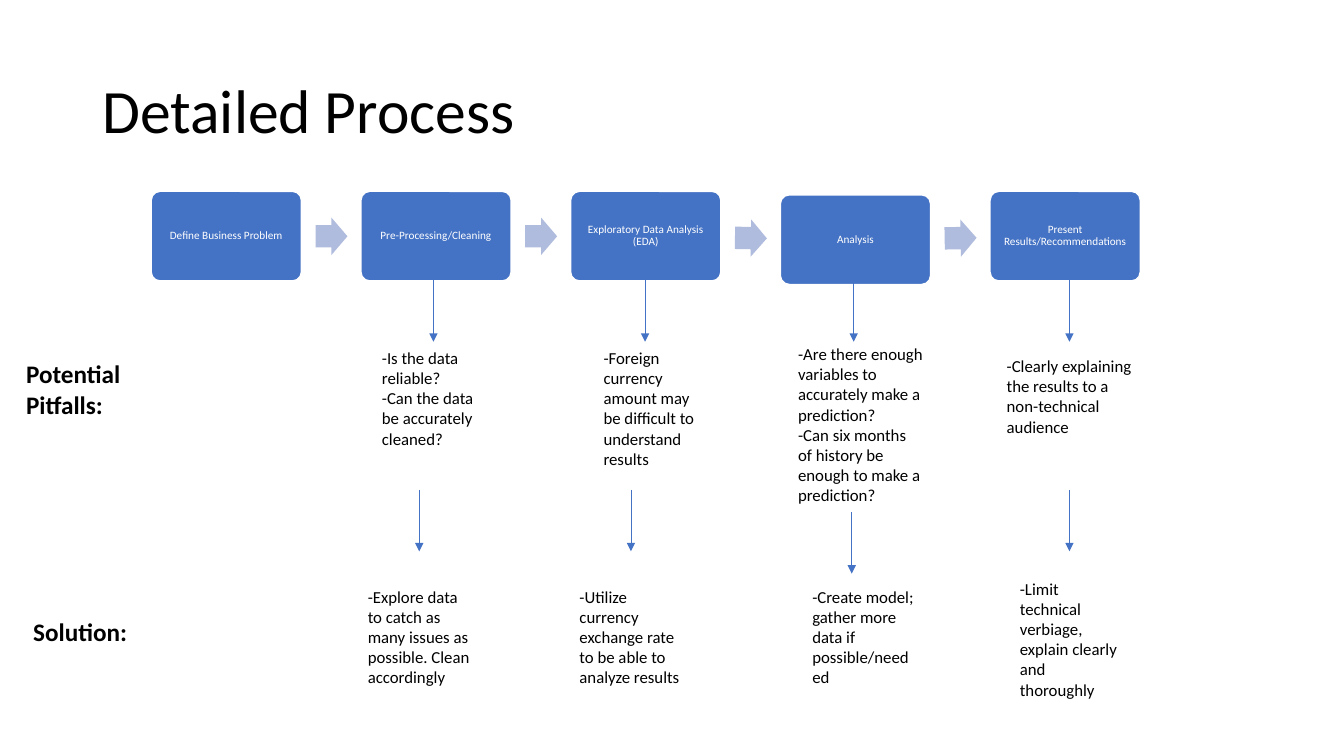
from lxml import etree
from pptx import Presentation
from pptx.dml.color import RGBColor
from pptx.enum.shapes import MSO_CONNECTOR, MSO_SHAPE
from pptx.enum.text import MSO_ANCHOR, PP_ALIGN
from pptx.oxml.ns import qn
from pptx.util import Pt

ROUNDED, RIGHT_ARROW = MSO_SHAPE.ROUNDED_RECTANGLE, MSO_SHAPE.RIGHT_ARROW
STRAIGHT = MSO_CONNECTOR.STRAIGHT
TOP, MIDDLE = MSO_ANCHOR.TOP, MSO_ANCHOR.MIDDLE
LEFT, CENTER = PP_ALIGN.LEFT, PP_ALIGN.CENTER

FONT = "Calibri"
COLORS = {"step": "4472C4", "arrow": "B0BCDE", "text": "000000", "white": "FFFFFF"}

TITLE = "Detailed Process"
# Step label and its offset below the row
STEPS = [
    ("Define Business Problem", 0),
    ("Pre-Processing/Cleaning", 0),
    ("Exploratory Data Analysis (EDA)", 0),
    ("Analysis", 2.5),
    ("Present Results/Recommendations", 0),
]
# Offset below the row and rotation of the arrow after each step
STEP_ARROWS = [(0, 0), (0, 0), (1.3, 1), (1.3, -1)]
# Row heading, (left, top, width, height)
HEADINGS = [
    ("Potential Pitfalls:", (11.5, 252.7, 99.4, 51)),
    ("Solution:", (16.6, 437, 99.4, 29)),
]
# Paragraphs, (left, top, width, height), (x, top) of the arrow above
PITFALLS = [
    (["-Is the data reliable?", "-Can the data be accurately cleaned?"],
     (265.7, 244.8, 87.8, 94.3), (309.6, 200.2)),
    (["-Foreign currency amount may be difficult to understand results"],
     (424, 244.8, 87.8, 94.3), (460.8, 200.2)),
    (["-Are there enough variables to accurately make a prediction?",
      "-Can six months of history be enough to make a prediction?"],
     (563, 242, 103.7, 123.8), (609.8, 200.2)),
    (["-Clearly explaining the results to a non-technical audience"],
     (712, 250.6, 103.7, 65.5), (763.9, 200.2)),
]
SOLUTIONS = [
    (["-Explore data to catch as many issues as possible. Clean accordingly"],
     (255.6, 415.4, 87.8, 80), (299.5, 349.9)),
    (["-Utilize currency exchange rate to be able to analyze results"],
     (406.8, 415.4, 87.8, 80), (450.7, 349.9)),
    (["-Create model; gather more data if possible/needed"],
     (573.1, 415.4, 87.8, 80), (608.4, 365.8)),
    (["-Limit technical verbiage, explain clearly and thoroughly"],
     (721.4, 409.7, 87.8, 94.3), (763.9, 349.9)),
]

STEP_LEFT, STEP_TOP, STEP_PITCH = 108, 136.7, 149.8
STEP_WIDTH, STEP_HEIGHT, STEP_INSET = 107.3, 64, 4.3
ARROW_LEFT, ARROW_TOP, ARROW_WIDTH, ARROW_HEIGHT = 225.4, 155.5, 22.8, 26.6
DOWN_LENGTH = 43.9


def rgb(name):
    return RGBColor.from_string(COLORS[name])


def write(frame, paragraphs, size, color="text", bold=False, align=LEFT,
          anchor=TOP, spacing=None):
    frame.word_wrap = True
    frame.vertical_anchor = anchor
    for i, text in enumerate(paragraphs):
        paragraph = frame.add_paragraph() if i else frame.paragraphs[0]
        paragraph.alignment = align
        if spacing:
            paragraph.line_spacing = spacing
        run = paragraph.add_run()
        run.text = text
        run.font.name, run.font.size, run.font.bold = FONT, Pt(size), bold
        run.font.color.rgb = rgb(color)


def add_text(slide, paragraphs, box, size, **style):
    textbox = slide.shapes.add_textbox(*map(Pt, box))
    write(textbox.text_frame, paragraphs, size, **style)


def add_filled(slide, kind, box, fill, adjustments):
    shape = slide.shapes.add_shape(kind, *map(Pt, box))
    shape.shadow.inherit = False
    shape.fill.solid()
    shape.fill.fore_color.rgb = rgb(fill)
    shape.line.fill.background()
    for i, value in enumerate(adjustments):
        shape.adjustments[i] = value
    return shape


def add_step(slide, index, label, drop):
    box = (STEP_LEFT + index * STEP_PITCH, STEP_TOP + drop, STEP_WIDTH, STEP_HEIGHT)
    step = add_filled(slide, ROUNDED, box, "step", [0.1])
    step.line.color.rgb = rgb("white")
    step.line.width = Pt(1)
    frame = step.text_frame
    frame.margin_left = frame.margin_right = Pt(STEP_INSET)
    frame.margin_top = frame.margin_bottom = Pt(STEP_INSET)
    write(frame, [label], 8, color="white", align=CENTER, anchor=MIDDLE, spacing=0.9)


def add_step_arrow(slide, index, drop, rotation):
    box = (ARROW_LEFT + index * STEP_PITCH, ARROW_TOP + drop, ARROW_WIDTH, ARROW_HEIGHT)
    add_filled(slide, RIGHT_ARROW, box, "arrow", [0.6, 0.5]).rotation = rotation


def add_down_arrow(slide, x, top):
    arrow = slide.shapes.add_connector(STRAIGHT, Pt(x), Pt(top), Pt(x), Pt(top + DOWN_LENGTH))
    arrow.line.color.rgb = rgb("step")
    arrow.line.width = Pt(0.5)
    etree.SubElement(arrow.line._get_or_add_ln(), qn("a:tailEnd"), type="triangle")
    etree.SubElement(arrow._element.spPr, qn("a:effectLst"))


def main():
    deck = Presentation()
    deck.slide_width, deck.slide_height = Pt(960), Pt(540)
    slide = deck.slides.add_slide(deck.slide_layouts[6])

    add_text(slide, [TITLE], (66, 28.8, 828, 104.4), 44, anchor=MIDDLE, spacing=0.9)
    for i, (label, drop) in enumerate(STEPS):
        add_step(slide, i, label, drop)
    for i, (drop, rotation) in enumerate(STEP_ARROWS):
        add_step_arrow(slide, i, drop, rotation)
    for heading, box in HEADINGS:
        add_text(slide, [heading], box, 18, bold=True)
    for paragraphs, box, (x, top) in PITFALLS + SOLUTIONS:
        add_down_arrow(slide, x, top)
        add_text(slide, paragraphs, box, 12)

    deck.save("out.pptx")


if __name__ == "__main__":
    main()
